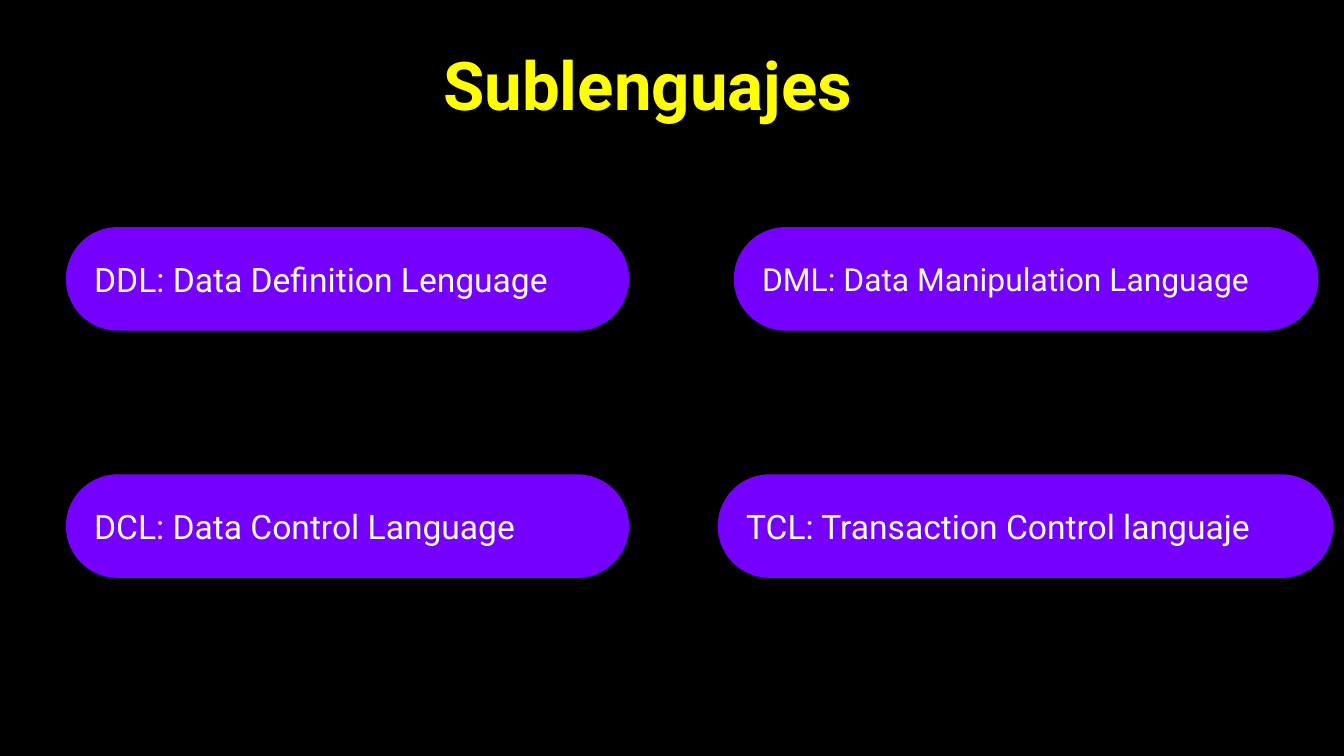
from typing import NamedTuple

from pptx import Presentation
from pptx.dml.color import RGBColor
from pptx.enum.shapes import MSO_SHAPE as Kind
from pptx.enum.text import MSO_ANCHOR as Anchor, PP_ALIGN as Align
from pptx.slide import Slide
from pptx.text.text import TextFrame
from pptx.util import Inches, Pt

BLACK = RGBColor(0x00, 0x00, 0x00)
VIOLET = RGBColor(0x76, 0x00, 0xFF)
WHITE = RGBColor(0xFF, 0xFF, 0xFF)
YELLOW = RGBColor(0xFF, 0xFF, 0x01)
FONT = "Roboto"
WIDTH = Inches(10)
HEIGHT = WIDTH * 9 // 16
PILL_HEIGHT = 0.77
TOP_ROW, LOW_ROW = 1.69, 3.53


class Pill(NamedTuple):
    text: str
    left: float
    top: float
    width: float
    size: int = 18


PILLS = [
    Pill("DDL: Data Definition Lenguage", 0.49, TOP_ROW, 4.19),
    Pill("DML: Data Manipulation Language", 5.46, TOP_ROW, 4.35, 17),
    Pill("DCL: Data Control Language", 0.49, LOW_ROW, 4.19),
    Pill("TCL: Transaction Control languaje", 5.34, LOW_ROW, 4.58),
]


def write(frame: TextFrame, text: str, align: Align, size: int,
          color: RGBColor, bold: bool = False) -> None:
    inset = Inches(0.1)
    layout = {
        "word_wrap": True,
        "vertical_anchor": Anchor.MIDDLE,
        "margin_left": inset,
        "margin_top": inset,
        "margin_right": inset,
        "margin_bottom": inset,
    }
    for name, value in layout.items():
        setattr(frame, name, value)
    line = frame.paragraphs[0]
    line.alignment = align
    run = line.add_run()
    run.text = text
    style = {"name": FONT, "size": Pt(size), "bold": bold}
    for name, value in style.items():
        setattr(run.font, name, value)
    run.font.color.rgb = color


def draw_title(slide: Slide, text: str) -> None:
    box = slide.shapes.add_textbox(
        Inches(0.81), Inches(0), Inches(8.02), Inches(1.25))
    write(box.text_frame, text, Align.CENTER, 36, YELLOW, True)


def draw_pill(slide: Slide, pill: Pill) -> None:
    shape = slide.shapes.add_shape(
        Kind.ROUNDED_RECTANGLE, Inches(pill.left), Inches(pill.top),
        Inches(pill.width), Inches(PILL_HEIGHT))
    shape.adjustments[0] = 0.5
    shape.shadow.inherit = False
    shape.fill.solid()
    shape.fill.fore_color.rgb = VIOLET
    shape.line.fill.background()
    write(shape.text_frame, pill.text, Align.LEFT, pill.size, WHITE)


def main() -> None:
    deck = Presentation()
    deck.slide_width = WIDTH
    deck.slide_height = HEIGHT
    slide = deck.slides.add_slide(deck.slide_layouts[6])
    slide.background.fill.solid()
    slide.background.fill.fore_color.rgb = BLACK
    draw_title(slide, "Sublenguajes")
    for pill in PILLS:
        draw_pill(slide, pill)
    deck.save("out.pptx")


if __name__ == "__main__":
    main()
